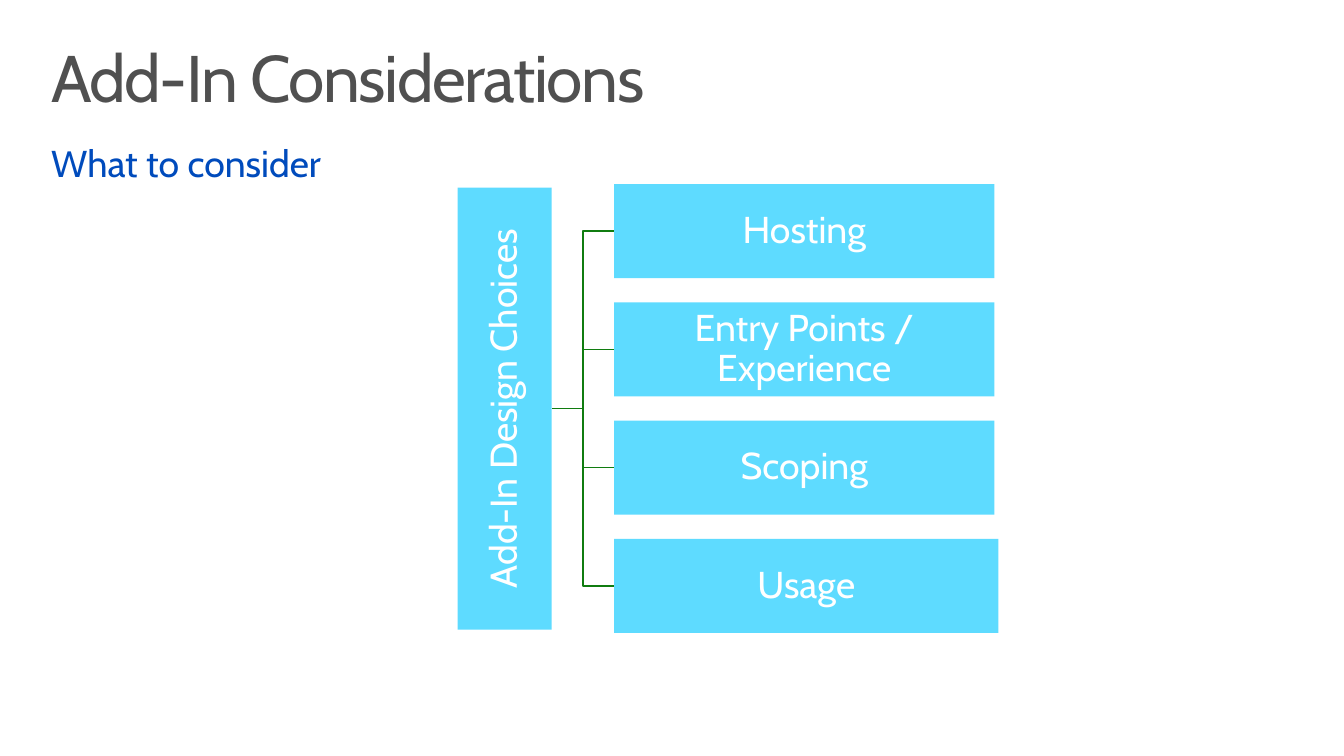
from pptx import Presentation
from pptx.dml.color import RGBColor
from pptx.enum.shapes import MSO_SHAPE
from pptx.enum.text import MSO_ANCHOR, MSO_AUTO_SIZE, PP_ALIGN
from pptx.util import Inches, Pt

RECTANGLE = MSO_SHAPE.RECTANGLE
TOP, MIDDLE = MSO_ANCHOR.TOP, MSO_ANCHOR.MIDDLE
LEFT, CENTER = PP_ALIGN.LEFT, PP_ALIGN.CENTER
NO_AUTOFIT = MSO_AUTO_SIZE.NONE

WHITE = RGBColor(0xFF, 0xFF, 0xFF)
GRAY = RGBColor(0x50, 0x50, 0x50)
BLUE = RGBColor(0x00, 0x4B, 0xBC)
SKY = RGBColor(0x5E, 0xDB, 0xFF)
GREEN = RGBColor(0x10, 0x7C, 0x10)

FONT = "Cabin"
PAGE_WIDTH = 10
PAGE_HEIGHT = PAGE_WIDTH * 9 / 16
BOX_HEIGHT = 0.7
CHOICE_LEFT, CHOICE_TOP, CHOICE_STEP = 4.57, 1.37, 0.88
CHOICES = [
    ("Hosting", 2.83),
    ("Entry Points / Experience", 2.83),
    ("Scoping", 2.83),
    ("Usage", 2.86),
]
ROOT_LEFT, ROOT_TOP, ROOT_LENGTH = 2.11, 2.69, 3.29
TRUNK_START, TRUNK_BEND, TRUNK_Y = 4.11, 4.34, 3.04


def write_text(shape, text, size=20, color=WHITE, align=CENTER, anchor=MIDDLE,
               margins=(0.01, 0.01), before=0, after=0, tracking=None):
    """Write one formatted paragraph into a shape."""
    frame = shape.text_frame
    frame.word_wrap = True
    frame.auto_size = NO_AUTOFIT
    frame.vertical_anchor = anchor
    frame.margin_left = frame.margin_right = Inches(margins[0])
    frame.margin_top = frame.margin_bottom = Inches(margins[1])
    para = frame.paragraphs[0]
    para.alignment = align
    para.line_spacing = 0.9
    para.space_before, para.space_after = Pt(before), Pt(after)
    span = para.add_run()
    span.text = text
    span.font.name = FONT
    span.font.size = Pt(size)
    span.font.color.rgb = color
    if tracking is not None:
        span.font._element.set("spc", str(tracking))


def add_title(page, text):
    """Place and fill the title placeholder."""
    title = page.shapes.title
    title.left, title.top = Inches(0.22), Inches(0.24)
    title.width, title.height = Inches(9.56), Inches(0.74)
    write_text(title, text, size=35.3, color=GRAY, align=LEFT, anchor=TOP,
               margins=(0.16, 0.1), tracking=-75)


def add_subtitle(page, text):
    """Add the line of text under the title."""
    box = page.shapes.add_textbox(Inches(0.22), Inches(0.98), Inches(9.56), Inches(1.69))
    write_text(box, text, color=BLUE, align=LEFT, anchor=TOP,
               margins=(0.16, 0.1), before=3.5)


def add_branch(page, end_y):
    """Draw a bent line from the root box to one choice."""
    builder = page.shapes.build_freeform(Inches(TRUNK_START), Inches(TRUNK_Y))
    bends = [(TRUNK_BEND, TRUNK_Y), (TRUNK_BEND, end_y), (CHOICE_LEFT, end_y)]
    builder.add_line_segments([(Inches(x), Inches(y)) for x, y in bends], close=False)
    branch = builder.convert_to_shape()
    branch.shadow.inherit = False
    branch.fill.background()
    branch.line.color.rgb = GREEN
    branch.line.width = Pt(0.85)


def add_box(page, text, left, top, width, rotation=0):
    """Add a filled box with centred text."""
    box = page.shapes.add_shape(RECTANGLE, Inches(left), Inches(top),
                                Inches(width), Inches(BOX_HEIGHT))
    box.rotation = rotation
    box.shadow.inherit = False
    box.fill.solid()
    box.fill.fore_color.rgb = SKY
    box.line.fill.background()
    write_text(box, text, after=7)


def main():
    """Build the slide and save the deck."""
    deck = Presentation()
    deck.slide_width, deck.slide_height = Inches(PAGE_WIDTH), Inches(PAGE_HEIGHT)
    page = deck.slides.add_slide(deck.slide_layouts[5])
    add_subtitle(page, "What to consider")
    add_title(page, "Add-In Considerations")
    tops = [CHOICE_TOP + row * CHOICE_STEP for row in range(len(CHOICES))]
    for top in reversed(tops):
        add_branch(page, top + BOX_HEIGHT / 2)
    add_box(page, "Add-In Design Choices", ROOT_LEFT, ROOT_TOP, ROOT_LENGTH, rotation=270)
    for (text, width), top in zip(CHOICES, tops):
        add_box(page, text, CHOICE_LEFT, top, width)
    deck.save("out.pptx")


if __name__ == "__main__":
    main()
